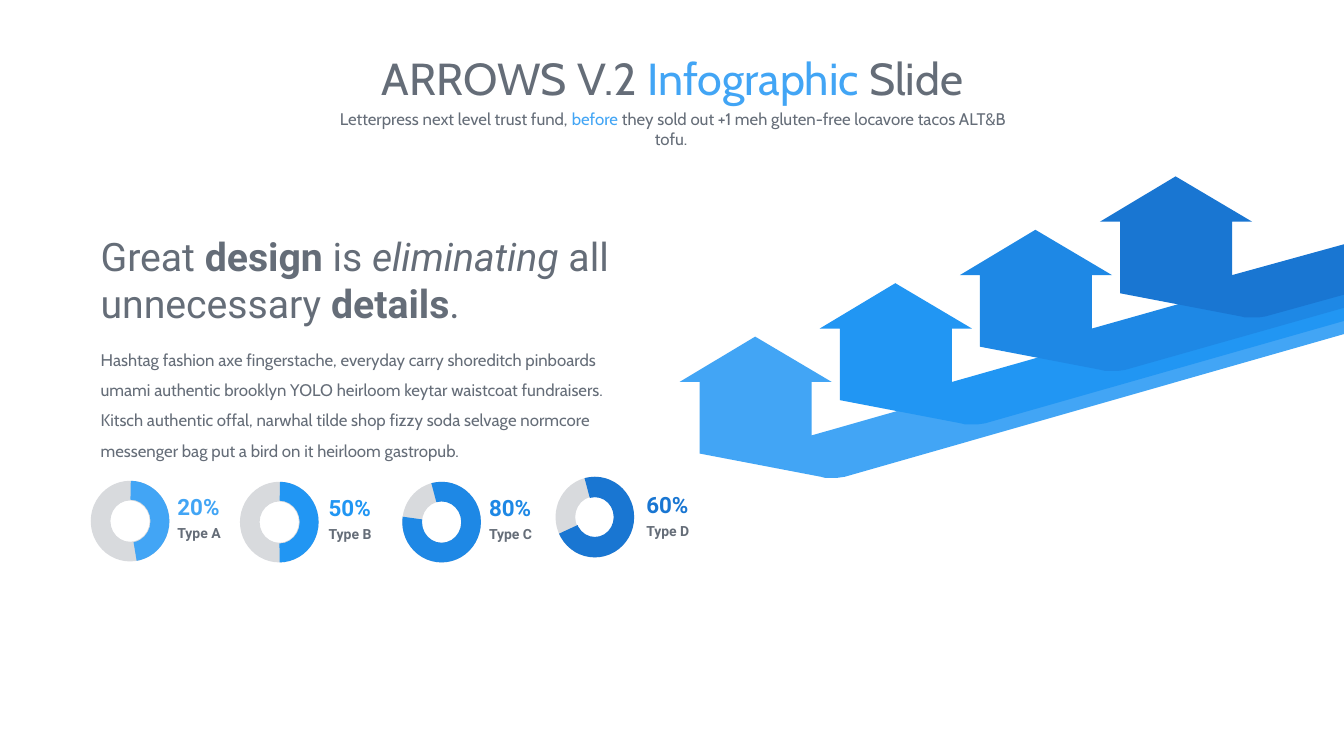
from dataclasses import dataclass

from pptx import Presentation
from pptx.dml.color import RGBColor
from pptx.enum.shapes import MSO_SHAPE
from pptx.enum.text import MSO_AUTO_SIZE, PP_ALIGN
from pptx.util import Inches, Pt

DONUT, BLOCK_ARC = MSO_SHAPE.DONUT, MSO_SHAPE.BLOCK_ARC
LEFT, CENTER = PP_ALIGN.LEFT, PP_ALIGN.CENTER
GROW, FIXED = MSO_AUTO_SIZE.SHAPE_TO_FIT_TEXT, MSO_AUTO_SIZE.NONE
GREY, TRACK = "656D78", "D8DADD"
BLUES = ["42A5F5", "2196F3", "1E88E5", "1976D2"]

ARROW_LEFT, ARROW_TOP = 6.74, 3.34
ARROW_STEP_X, ARROW_STEP_Y = 1.39, -0.53
RIBBON_RIGHT, RIBBON_TOP, RIBBON_STEP, RIBBON_DEPTH = 13.38, 2.8, -0.13, 0.5
# Offsets from the left edge and tip height, before and after the ribbon's end
HEAD = [(0, 0.45), (0.75, 0), (1.51, 0.45), (1.31, 0.45), (1.31, 0.98)]
BEND = [(1.64, 1.39), (1.57, 1.4), (1.5, 1.4), (1.44, 1.4), (1.4, 1.39), (0.2, 1.16), (0.2, 0.45)]


@dataclass
class Run:
    text: str
    color: str = GREY
    bold: bool = False
    italic: bool = False


@dataclass
class Box:
    left: float
    top: float
    width: float
    height: float


@dataclass
class Gauge:
    label: str
    percent: str
    color: str
    left: float
    top: float
    text_left: float
    text_top: float
    arc: tuple[float, float, float]


GAUGES = [
    Gauge("Type A", "20%", BLUES[0], 0.9, 4.77, 1.76, 4.92, (162.64, 48.33, 0.24)),
    Gauge("Type B", "50%", BLUES[1], 2.38, 4.78, 3.26, 4.93, (162.64, 53.67, 0.24)),
    Gauge("Type C", "80%", BLUES[2], 3.99, 4.78, 4.85, 4.93, (153.14, 112.73, 0.25)),
    Gauge("Type D", "60%", BLUES[3], 5.51, 4.73, 6.41, 4.9, (153.14, 93.04, 0.26)),
]


def rgb(color: str) -> RGBColor:
    return RGBColor.from_string(color)


def paint(sp, color: str) -> None:
    sp.shadow.inherit = False
    sp.fill.solid()
    sp.fill.fore_color.rgb = rgb(color)
    sp.line.fill.background()


def add_text(s, box: Box, runs: list[Run], size: float, font: str, align=LEFT,
             spacing: float = 1.0, inset: bool = True) -> None:
    sp = s.shapes.add_textbox(Inches(box.left), Inches(box.top),
                              Inches(box.width), Inches(box.height))
    tf = sp.text_frame
    tf.word_wrap = True
    tf.auto_size = GROW if inset else FIXED
    if not inset:
        tf.margin_left = tf.margin_top = tf.margin_right = tf.margin_bottom = 0
    p = tf.paragraphs[0]
    p.alignment, p.line_spacing = align, spacing
    for run in runs:
        r = p.add_run()
        r.text = run.text
        r.font.name, r.font.size = font, Pt(size)
        r.font.bold, r.font.italic = run.bold, run.italic
        r.font.color.rgb = rgb(run.color)


def add_arrow(s, index: int, color: str) -> None:
    left = ARROW_LEFT + index * ARROW_STEP_X
    top = ARROW_TOP + index * ARROW_STEP_Y
    ribbon = RIBBON_TOP + index * RIBBON_STEP
    points = [(left + x, top + y) for x, y in HEAD]
    points += [(RIBBON_RIGHT, ribbon), (RIBBON_RIGHT, ribbon + RIBBON_DEPTH)]
    points += [(left + x, top + y) for x, y in BEND]
    outline = [(Inches(x), Inches(y)) for x, y in points]
    builder = s.shapes.build_freeform(*outline[0])
    builder.add_line_segments(outline[1:], close=True)
    paint(builder.convert_to_shape(), color)


def add_gauge(s, gauge: Gauge) -> None:
    for kind, color in ((DONUT, TRACK), (BLOCK_ARC, gauge.color)):
        sp = s.shapes.add_shape(kind, Inches(gauge.left), Inches(gauge.top),
                                Inches(0.78), Inches(0.8))
        paint(sp, color)
    for i, value in enumerate(gauge.arc):
        sp.adjustments[i] = value
    add_text(s, Box(gauge.text_left, gauge.text_top, 0.49, 0.29),
             [Run(gauge.percent, gauge.color, bold=True)], 16, "Roboto", spacing=0.9, inset=False)
    add_text(s, Box(gauge.text_left, gauge.text_top + 0.3, 0.49, 0.23),
             [Run(gauge.label, bold=True)], 10, "Roboto", spacing=0.9, inset=False)


def main() -> None:
    prs = Presentation()
    prs.slide_width, prs.slide_height = Inches(13.33), Inches(7.5)
    s = prs.slides.add_slide(prs.slide_layouts[6])

    add_text(s, Box(2.54, 0.45, 8.26, 0.64),
             [Run("ARROWS V.2 "), Run("Infographic ", BLUES[0]), Run("Slide")],
             32, "Cabin", CENTER)
    add_text(s, Box(3.2, 1.03, 6.95, 0.3),
             [Run("Letterpress next level trust fund, "), Run("before", BLUES[0]),
              Run(" they sold out +1 meh gluten-free locavore tacos ALT&B tofu. ")],
             12, "Cabin", CENTER)
    for i, color in enumerate(BLUES):
        add_arrow(s, i, color)
    add_text(s, Box(0.9, 2.26, 5.46, 1.04),
             [Run("Great "), Run("design", bold=True), Run(" is "),
              Run("eliminating", italic=True), Run(" all unnecessary "),
              Run("details", bold=True), Run(".")],
             28, "Roboto")
    add_text(s, Box(0.9, 3.32, 5.32, 1.31),
             [Run("Hashtag fashion axe fingerstache, everyday carry shoreditch pinboards umami "
                  "authentic brooklyn YOLO heirloom keytar waistcoat fundraisers. Kitsch authentic "
                  "offal, narwhal tilde shop fizzy soda selvage normcore messenger bag put a bird "
                  "on it heirloom gastropub.")],
             12, "Cabin", spacing=1.5)
    for gauge in GAUGES:
        add_gauge(s, gauge)

    prs.save("out.pptx")


if __name__ == "__main__":
    main()
